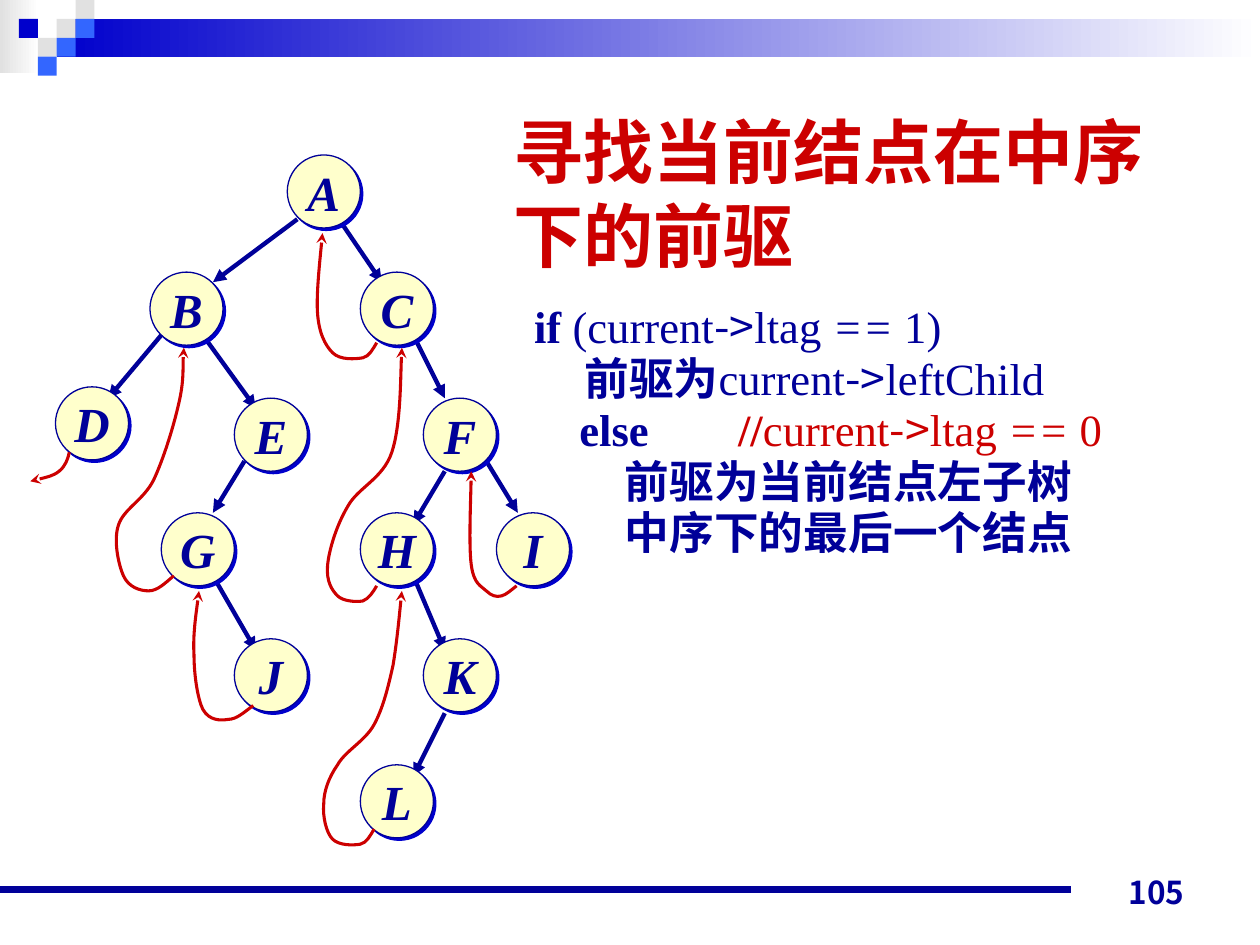
from typing import NamedTuple

from lxml import etree
from pptx import Presentation
from pptx import util as u
from pptx.dml import color
from pptx.enum import shapes, text
from pptx.oxml import ns

NAVY, BLUE, SKY, GREY = "000099", "0000CC", "3366FF", "E1E1E1"
RED, CREAM, WHITE = "CC0000", "FFFFCC", "FFFFFF"
SERIF, SANS = "Times New Roman", "Noto Sans CJK SC"
CELL = 0.15
SIZE = 0.58


class Node(NamedTuple):
    name: str
    x: float
    y: float


class Edge(NamedTuple):
    x1: float
    y1: float
    x2: float
    y2: float


class Bit(NamedTuple):
    words: str
    bold: bool = False
    tint: str = NAVY
    face: str = SERIF
    slant: bool = False


class Row(NamedTuple):
    indent: float
    bits: list[Bit]


NODES = [
    Node("A", 2.28, 1.23), Node("B", 1.19, 2.16), Node("C", 2.86, 2.16),
    Node("D", 0.44, 3.07), Node("E", 1.86, 3.16), Node("F", 3.36, 3.16),
    Node("G", 1.28, 4.07), Node("H", 2.86, 4.07), Node("I", 3.94, 4.07),
    Node("J", 1.86, 5.07), Node("K", 3.36, 5.07), Node("L", 2.86, 6.07),
]
EDGES = [
    Edge(2.36, 1.74, 1.69, 2.24), Edge(2.69, 1.74, 3.03, 2.24),
    Edge(1.28, 2.66, 0.86, 3.16), Edge(1.61, 2.66, 2.03, 3.24),
    Edge(3.28, 2.66, 3.53, 3.16), Edge(1.94, 3.66, 1.69, 4.07),
    Edge(3.53, 3.74, 3.28, 4.16), Edge(3.86, 3.66, 4.11, 4.07),
    Edge(1.69, 4.57, 2.03, 5.16), Edge(3.28, 4.57, 3.53, 5.16),
    Edge(3.53, 5.66, 3.28, 6.16),
]
# Each thread: a start, then three Bezier points per segment
THREADS = [
    [(4.1, 4.65), (4.06, 4.68), (4.02, 4.72), (3.98, 4.73),
     (3.94, 4.74), (3.9, 4.73), (3.86, 4.69), (3.82, 4.65), (3.76, 4.64),
     (3.74, 4.48), (3.72, 4.33), (3.74, 3.87), (3.74, 3.74)],
    [(2.97, 6.58), (2.94, 6.63), (2.91, 6.69), (2.86, 6.7),
     (2.8, 6.71), (2.69, 6.71), (2.64, 6.66), (2.59, 6.61), (2.56, 6.48),
     (2.57, 6.38), (2.57, 6.28), (2.61, 6.17), (2.68, 6.07), (2.74, 5.96),
     (2.9, 5.88), (2.97, 5.75), (3.04, 5.62), (3.08, 5.46), (3.12, 5.28),
     (3.15, 5.1), (3.18, 4.79), (3.19, 4.69)],
    [(2.99, 4.65), (2.96, 4.7), (2.93, 4.75), (2.88, 4.77),
     (2.82, 4.78), (2.72, 4.77), (2.68, 4.73), (2.63, 4.68), (2.59, 4.61),
     (2.6, 4.49), (2.61, 4.37), (2.67, 4.17), (2.76, 4.02), (2.84, 3.87),
     (3.04, 3.8), (3.11, 3.59), (3.18, 3.38), (3.18, 2.9), (3.19, 2.76)],
    [(2.99, 2.72), (2.96, 2.77), (2.93, 2.83), (2.88, 2.84),
     (2.82, 2.85), (2.7, 2.86), (2.64, 2.8), (2.58, 2.74), (2.53, 2.64),
     (2.52, 2.48), (2.51, 2.33), (2.55, 1.96), (2.56, 1.85)],
    [(2.01, 5.6), (1.94, 5.65), (1.88, 5.71), (1.81, 5.71),
     (1.75, 5.72), (1.66, 5.72), (1.61, 5.63), (1.57, 5.55), (1.54, 5.36),
     (1.54, 5.2), (1.53, 5.04), (1.57, 4.77), (1.58, 4.69)],
    [(1.38, 4.57), (1.31, 4.63), (1.25, 4.69), (1.18, 4.69),
     (1.11, 4.69), (1.02, 4.66), (0.98, 4.57), (0.94, 4.48), (0.9, 4.29),
     (0.94, 4.17), (0.98, 4.04), (1.14, 3.97), (1.22, 3.81), (1.3, 3.64),
     (1.38, 3.38), (1.42, 3.2), (1.46, 3.03), (1.45, 2.83), (1.46, 2.76)],
    [(0.55, 3.59), (0.54, 3.64), (0.52, 3.7), (0.47, 3.74),
     (0.42, 3.78), (0.28, 3.81), (0.24, 3.82)],
]
ROWS = [
    Row(0, [Bit("if", True), Bit(" (current"), Bit("->", face=SANS),
            Bit("ltag "), Bit("== ", slant=True), Bit("1)")]),
    Row(0.4, [Bit("前驱为", True), Bit("current"), Bit("->", face=SANS),
              Bit("leftChild")]),
    Row(0.36, [Bit("else\t", True), Bit("//", True, RED),
               Bit("current", tint=RED), Bit("->", tint=RED, face=SANS),
               Bit("ltag ", tint=RED), Bit("== ", tint=RED, slant=True),
               Bit("0", tint=RED)]),
    Row(0.72, [Bit("前驱为当前结点左子树", True)]),
    Row(0.72, [Bit("中序下的最后一个结点", True)]),
]


def rgb(code: str) -> color.RGBColor:
    return color.RGBColor.from_string(code)


def sub(top, tag: str, **atts: str):
    return etree.SubElement(top, ns.qn(tag), atts)


def style(run, size: float, tint: str, face: str,
          bold: bool = True, slant: bool = False) -> None:
    font = run.font
    font.size, font.bold, font.italic, font.name = u.Pt(size), bold, slant, face
    font.color.rgb = rgb(tint)
    sub(run._r.get_or_add_rPr(), "a:ea", typeface=SANS)


def stroke(line, tint: str, width: float, head: str = "") -> None:
    line.color.rgb, line.width = rgb(tint), u.Pt(width)
    if head:
        sub(line._get_or_add_ln(), "a:tailEnd", type=head)


def block(page, x: float, y: float, w: float, h: float, tint: str, fade: bool = False) -> None:
    box = page.add_shape(shapes.MSO_SHAPE.RECTANGLE, *map(u.Inches, (x, y, w, h)))
    box.shadow.inherit = False
    box.line.fill.background()
    if fade:
        box.fill.gradient()
        box.fill.gradient_angle = 0
        for stop, code, pos in zip(box.fill.gradient_stops, (tint, WHITE), (0, 1)):
            stop.color.rgb, stop.position = rgb(code), pos
    else:
        box.fill.solid()
        box.fill.fore_color.rgb = rgb(tint)


def link(page, edge: Edge, width: float, head: str = "") -> None:
    line = page.add_connector(shapes.MSO_CONNECTOR.STRAIGHT, *map(u.Inches, edge))
    stroke(line.line, NAVY, width, head)
    sub(line._element.spPr, "a:effectLst")


def disc(page, node: Node) -> None:
    dot = page.add_shape(shapes.MSO_SHAPE.OVAL, *map(u.Inches, (node.x, node.y, SIZE, SIZE)))
    dot.shadow.inherit = False
    dot.fill.solid()
    dot.fill.fore_color.rgb = rgb(CREAM)
    stroke(dot.line, NAVY, 0.75)
    glow = sub(dot._element.spPr.find(ns.qn("a:effectLst")), "a:outerShdw",
               dist=str(int(u.Pt(1.4) * 2 ** 0.5)), dir="2700000", algn="ctr", rotWithShape="0")
    sub(glow, "a:srgbClr", val=BLUE)
    frame = dot.text_frame
    frame.word_wrap = False
    frame.vertical_anchor = text.MSO_ANCHOR.MIDDLE
    frame.text = node.name
    para = frame.paragraphs[0]
    para.alignment = text.PP_ALIGN.CENTER
    style(para.runs[0], 28, NAVY, SERIF, slant=True)


def thread(page, dots: list[tuple[float, float]]) -> None:
    spots = [(u.Inches(x), u.Inches(y)) for x, y in dots]
    form = page.build_freeform(*spots[0])
    form.add_line_segments(spots[1:], close=False)
    curve = form.convert_to_shape()
    curve.shadow.inherit = False
    curve.fill.background()
    stroke(curve.line, RED, 1.75, "stealth")
    # Gather every three points into one cubic segment
    legs = curve._element.xpath(".//a:lnTo")
    for i in range(0, len(legs), 3):
        bend = etree.Element(ns.qn("a:cubicBezTo"))
        legs[i].addprevious(bend)
        for leg in legs[i:i + 3]:
            bend.append(leg[0])
            leg.getparent().remove(leg)


def panel(page, x: float, y: float, w: float, h: float, anchor):
    frame = page.add_textbox(*map(u.Inches, (x, y, w, h))).text_frame
    frame.word_wrap, frame.vertical_anchor = True, anchor
    return frame


def main() -> None:
    deck = Presentation()
    deck.slide_width, deck.slide_height = u.Inches(10), u.Inches(7.5)
    page = deck.slides.add_slide(deck.slide_layouts[6]).shapes

    # Header band and squares
    block(page, 0, 0, 0.31, 0.58, GREY, True)
    block(page, 0.45, 0.15, 9.55, 0.3, BLUE, True)
    for col, row, tint in [(3, 1, GREY), (4, 0, GREY), (4, 1, SKY), (2, 2, GREY),
                           (1, 1, BLUE), (3, 2, SKY), (2, 3, SKY)]:
        block(page, col * CELL, row * CELL, CELL, CELL, tint)

    # Footer
    link(page, Edge(0, 7.06, 8.5, 7.06), 4.5)
    foot = panel(page, 7.17, 6.78, 2.33, 0.5, text.MSO_ANCHOR.BOTTOM)
    foot.text = "105"
    foot.paragraphs[0].alignment = text.PP_ALIGN.RIGHT
    style(foot.paragraphs[0].runs[0], 18, NAVY, "Noto Sans CJK JP")

    # Title
    head = panel(page, 3.98, 0.74, 5.35, 1.57, text.MSO_ANCHOR.MIDDLE)
    head.text = "寻找当前结点在中序\v下的前驱"
    head.paragraphs[0].line_spacing = u.Pt(48)
    for run in head.paragraphs[0].runs:
        style(run, 40, RED, "Arial")

    # Pseudocode
    body = panel(page, 4.14, 2.37, 5.83, 3.03, text.MSO_ANCHOR.TOP)
    for i, row in enumerate(ROWS):
        para = body.add_paragraph() if i else body.paragraphs[0]
        para.line_spacing = u.Pt(27.5)
        para.space_before = u.Pt(1.9 if i else 0)
        props = para._p.get_or_add_pPr()
        props.set("marL", str(u.Inches(row.indent)))
        if "\t" in row.bits[0].words:
            sub(sub(props, "a:tabLst"), "a:tab", pos=str(u.Inches(1.26)), algn="l")
        for bit in row.bits:
            run = para.add_run()
            run.text = bit.words
            style(run, 25.5, bit.tint, bit.face, bit.bold, bit.slant)

    # Threaded tree
    for edge in EDGES:
        link(page, edge, 2.5, "triangle")
    for node in NODES:
        disc(page, node)
    for dots in THREADS:
        thread(page, dots)

    deck.save("out.pptx")


if __name__ == "__main__":
    main()
